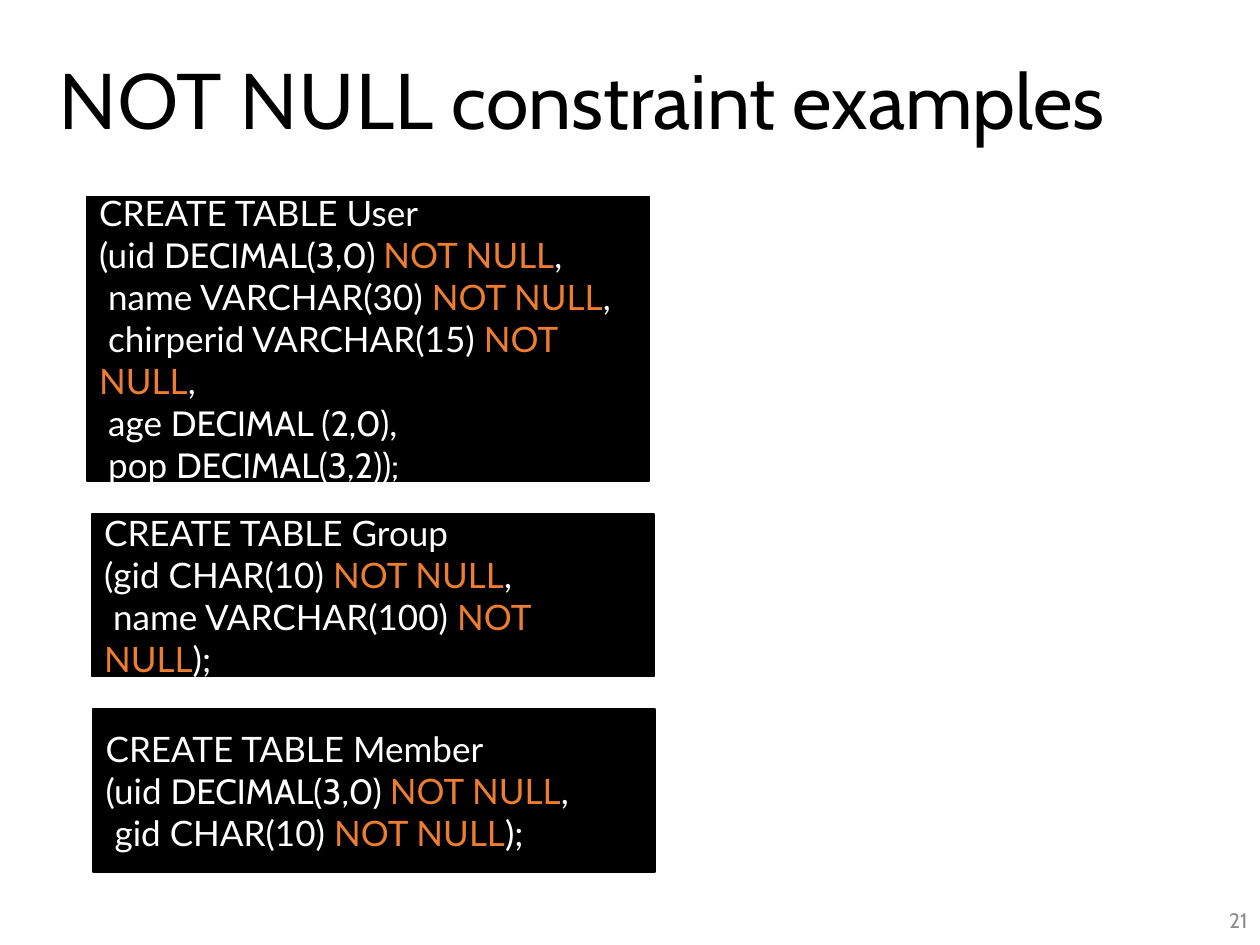
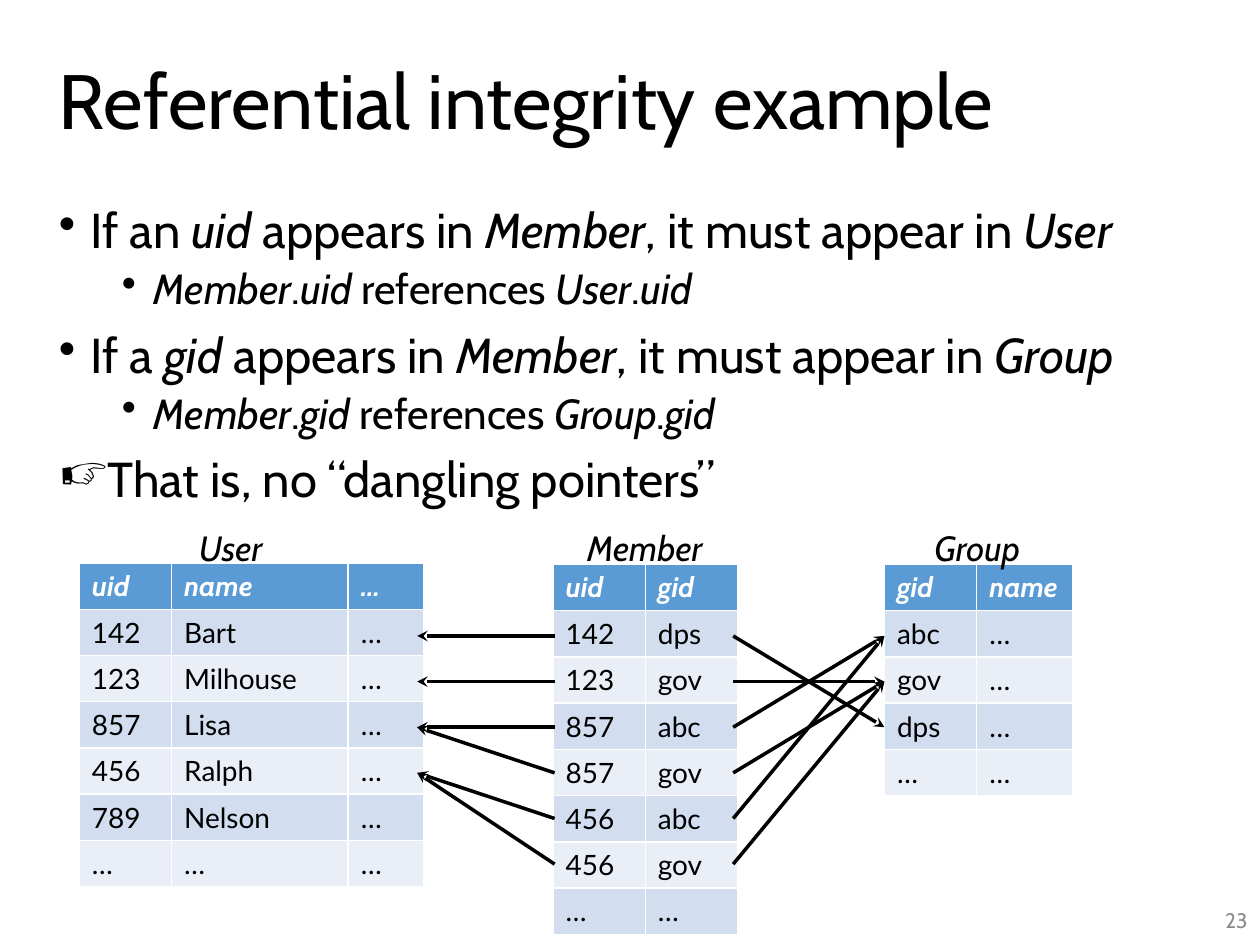
from lxml.etree import SubElement
from pptx import Presentation
from pptx.dml.color import RGBColor
from pptx.enum.shapes import MSO_CONNECTOR, MSO_SHAPE
from pptx.enum.text import MSO_ANCHOR, PP_ALIGN
from pptx.oxml.ns import qn
from pptx.util import Cm, Pt

HUES = {name: RGBColor.from_string(code) for name, code in {
    "black": "000000", "white": "FFFFFF", "grey": "8C8C8C", "orange": "ED7D31",
    "head": "5B9BD5", "odd": "D2DEEF", "even": "EAEFF7"}.items()}
SANS, CODE = "Cabin", "Lato"


def write(par, text, size, face=SANS, hue="black", other=CODE, accent=None):
    """Fill a paragraph: *...* is accented (or italic), ~...~ takes the other face."""
    par.font.size, par.font.name = Pt(size), face
    par.font.color.rgb = HUES[hue]
    for row, line in enumerate(text.split("\n")):
        if row:
            par.add_line_break()
        for i, part in enumerate(line.split("*")):
            for j, bit in enumerate(part.split("~")):
                if not bit:
                    continue
                run = par.add_run()
                run.text = bit
                if i % 2 and accent:
                    run.font.color.rgb = HUES[accent]
                elif i % 2:
                    run.font.italic = True
                if j % 2:
                    run.font.name = other


def add_frame(slide, box, anchor=MSO_ANCHOR.TOP):
    """Add a wrapping text box and return its text frame."""
    frame = slide.shapes.add_textbox(*map(Cm, box)).text_frame
    frame.word_wrap = True
    frame.vertical_anchor = anchor
    return frame


deck = Presentation()
deck.slide_width, deck.slide_height = Cm(25.4), Cm(19.05)

# Shared title and page number
slides = []
for title, page in (("~NOT NULL~ constraint examples", "21"),
                    ("Referential integrity example", "23")):
    slide = deck.slides.add_slide(deck.slide_layouts[6])
    par = add_frame(slide, (0.94, 0.46, 24.46, 3.28), MSO_ANCHOR.MIDDLE).paragraphs[0]
    par.line_spacing = 0.9
    write(par, title, 44)
    par = add_frame(slide, (19.69, 18.03, 5.71, 1.02), MSO_ANCHOR.MIDDLE).paragraphs[0]
    par.alignment = PP_ALIGN.RIGHT
    write(par, page, 12, hue="grey")
    slides.append(slide)
first, second = slides

# Code boxes
for left, top, height, code in (
        (1.75, 3.96, 5.74, "CREATE TABLE User\n(uid ~DECIMAL(3,0) ~*NOT NULL*,\n"
         " name VARCHAR(30) *NOT NULL*,\n chirperid VARCHAR(15) *NOT NULL*,\n"
         " age ~DECIMAL (2,0)~,\n pop ~DECIMAL(3,2));~"),
        (1.85, 10.36, 3.28, "CREATE TABLE Group\n(gid CHAR(10) *NOT NULL*,\n"
         " name VARCHAR(100) *NOT NULL*);"),
        (1.88, 14.3, 3.28, "CREATE TABLE Member\n(uid ~DECIMAL(3,0) ~*NOT NULL*,\n"
         " gid CHAR(10) *NOT NULL*);")):
    box = first.shapes.add_shape(MSO_SHAPE.RECTANGLE, Cm(left), Cm(top), Cm(11.33), Cm(height))
    box.shadow.inherit = False
    box.fill.solid()
    box.fill.fore_color.rgb = box.line.color.rgb = HUES["black"]
    box.line.width = Pt(1)
    box.text_frame.vertical_anchor = MSO_ANCHOR.MIDDLE
    par = box.text_frame.paragraphs[0]
    par.alignment = PP_ALIGN.LEFT
    write(par, code, 20, CODE, "white", SANS, "orange")

# Bullets
frame = add_frame(second, (0.94, 4.04, 22.71, 14.63))
for n, (level, mark, text) in enumerate((
        (0, "•", "If an *uid* appears in *Member*, it must appear in *User*"),
        (1, "•", "*Member*.*uid* references *User*.*uid*"),
        (0, "•", "If a *gid* appears in *Member*, it must appear in *Group*"),
        (1, "•", "*Member*.*gid* references *Group*.*gid*"),
        (0, "☞", "That is, no “dangling pointers”"))):
    par = frame.add_paragraph() if n else frame.paragraphs[0]
    par.level = level
    props = par._p.get_or_add_pPr()
    props.set("marL", str(Cm(0.64 + 1.27 * level)))
    props.set("indent", str(Cm(-0.64)))
    SubElement(props, qn("a:buChar")).set("char", mark)
    par.line_spacing = 0.9
    par.space_before = Pt(5 if level else 10)
    write(par, text, 24 if level else 28)

# Tables with their names above
users = [("142", "Bart"), ("123", "Milhouse"), ("857", "Lisa"),
         ("456", "Ralph"), ("789", "Nelson"), ("…", "…")]
groups = ["abc", "gov", "dps", "…"]
members = [("142", "dps"), ("123", "gov"), ("857", "abc"), ("857", "gov"),
           ("456", "abc"), ("456", "gov"), ("…", "…")]
STEP = 0.93
for name, left, top, mid, widths, rows in (
        ("User", 1.6, 11.35, 4.65, (1.86, 3.56, 1.52),
         [("uid", "name", "…")] + [user + ("…",) for user in users]),
        ("Group", 17.83, 11.38, 19.7, (1.86, 1.93),
         [("gid", "name")] + [(gid, "…") for gid in groups]),
        ("Member", 11.15, 11.38, 13, (1.86, 1.86), [("uid", "gid")] + members)):
    table = second.shapes.add_table(len(rows), len(widths), Cm(left), Cm(top),
                                    Cm(sum(widths)), Cm(STEP * len(rows))).table
    for col, width in zip(table.columns, widths):
        col.width = Cm(width)
    for r, row in enumerate(rows):
        table.rows[r].height = Cm(STEP)
        for c, text in enumerate(row):
            cell = table.cell(r, c)
            cell.fill.solid()
            cell.fill.fore_color.rgb = HUES["odd" if r % 2 else "even" if r else "head"]
            par = cell.text_frame.paragraphs[0]
            par.font.bold = par.font.italic = r == 0
            write(par, text, 16, CODE if r else SANS, "black" if r else "white")
    par = add_frame(second, (mid - 2, 10.49, 4, 1.12)).paragraphs[0]
    par.alignment = PP_ALIGN.CENTER
    write(par, f"*{name}*", 20)

# Each member row points at its user and its group
uids = [uid for uid, _ in users]
for sides, keys in (((11.18, 8.41), uids), ((14.78, 17.83), groups)):
    for row, pair in enumerate(members[:-1]):
        goal = keys.index(pair[0] if keys is uids else pair[1])
        start, end = (Cm(12.82 + 0.92 * n) for n in (row, goal))
        link = second.shapes.add_connector(MSO_CONNECTOR.STRAIGHT, Cm(sides[0]), start,
                                           Cm(sides[1]), end)
        link.line.color.rgb = HUES["black"]
        link.line.width = Pt(2)
        SubElement(link.line._get_or_add_ln(), qn("a:tailEnd")).set("type", "stealth")
        SubElement(link._element.spPr, qn("a:effectLst"))

deck.save("out.pptx")
